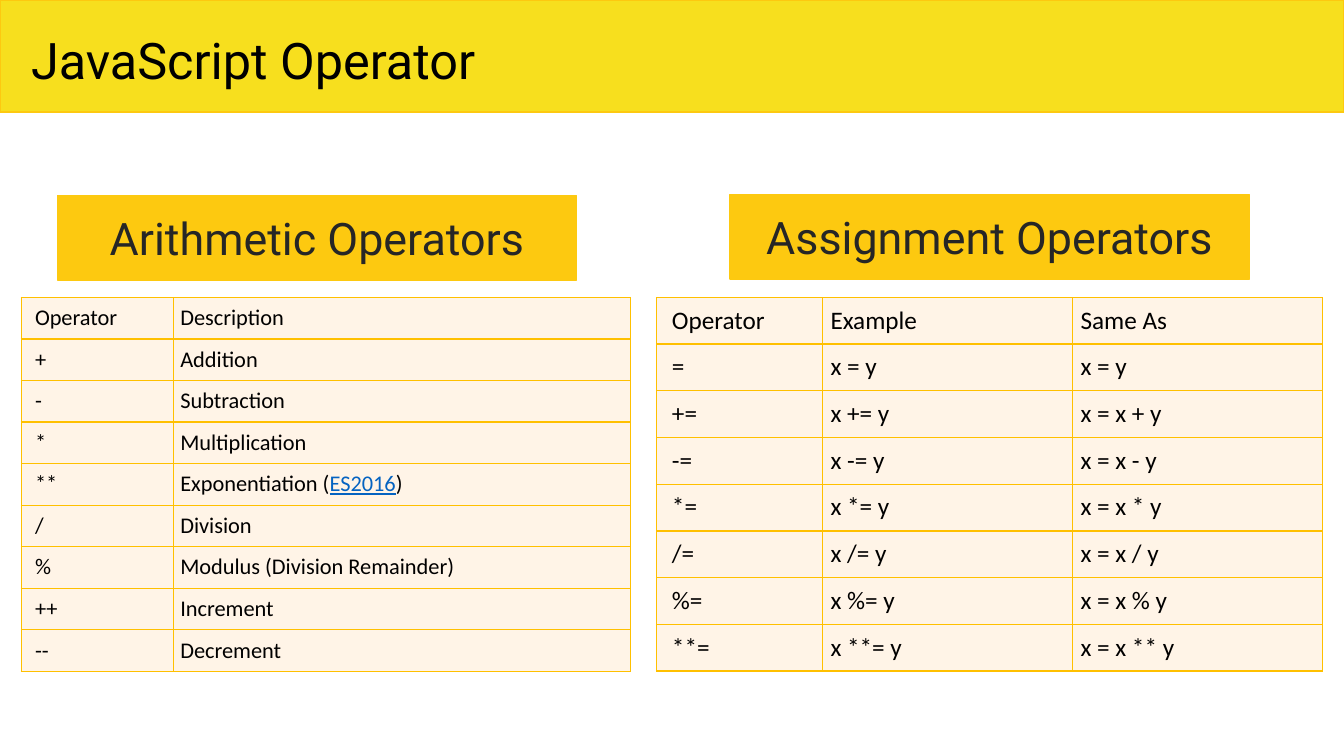
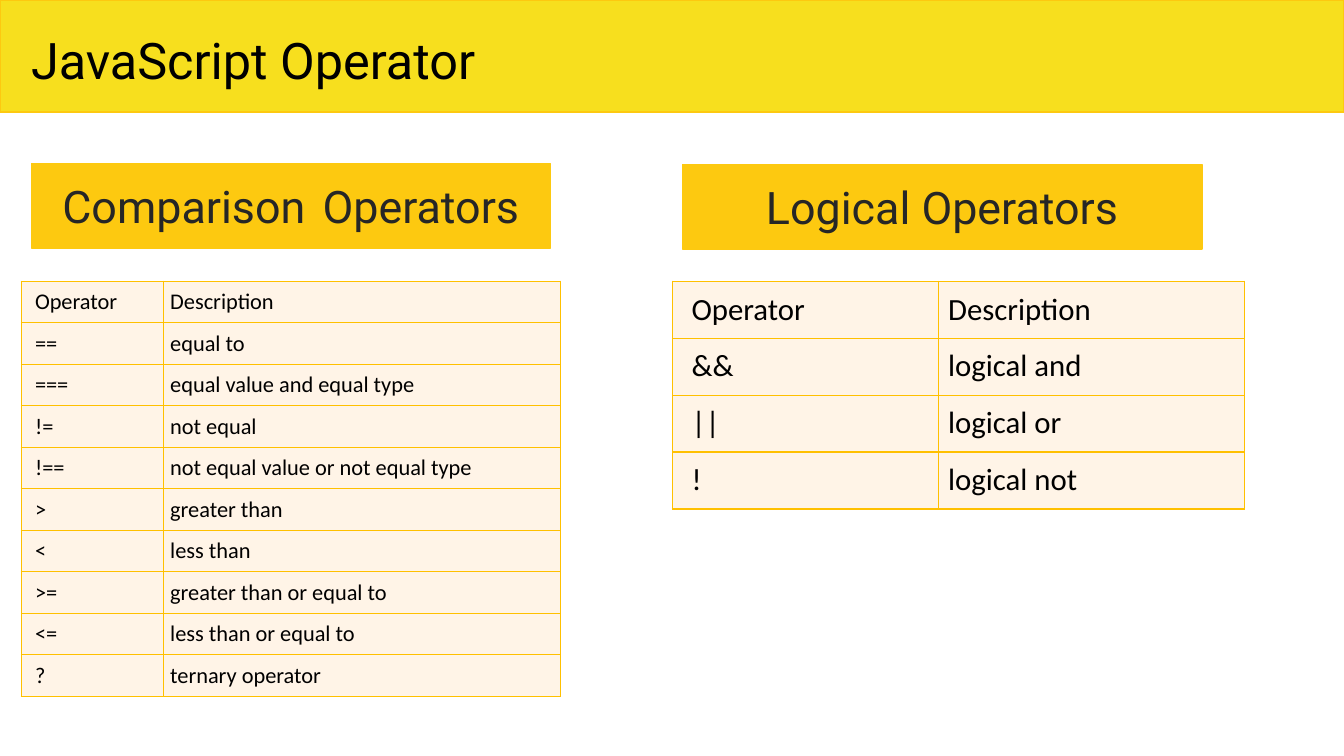
"""Builds two slides of JavaScript operator tables."""
from lxml.etree import SubElement
from pptx import Presentation
from pptx.dml.color import RGBColor
from pptx.enum.shapes import MSO_SHAPE
from pptx.enum.text import MSO_ANCHOR, MSO_AUTO_SIZE, PP_ALIGN
from pptx.oxml.ns import qn
from pptx.util import Inches, Pt

YELLOW = RGBColor(0xF7, 0xDF, 0x1E)
AMBER = RGBColor(0xFD, 0xC9, 0x10)
GRID = RGBColor(0xFF, 0xC0, 0x00)
CREAM = RGBColor(0xFF, 0xF4, 0xE7)
BLACK = RGBColor(0x00, 0x00, 0x00)
CHARCOAL = RGBColor(0x26, 0x26, 0x26)
LINK_BLUE = RGBColor(0x05, 0x63, 0xC1)
HEADING_FONT = "Roboto"
BODY_FONT = "Calibri"


class OperatorDeck:
    """Holds the shared style and the slide being filled."""

    def __init__(self):
        self.presentation = Presentation()
        self.presentation.slide_width = Inches(13.33)
        self.presentation.slide_height = Inches(7.5)
        self.slide = None

    def start_slide(self, title):
        """Add a slide with the title band."""
        self.slide = self.presentation.slides.add_slide(self.presentation.slide_layouts[6])
        header = self.slide.shapes.add_group_shape()
        self.bar(header.shapes, 0, 0, 13.33, 1.11, YELLOW)
        caption = header.shapes.add_textbox(
            Inches(0.21), Inches(0.24), Inches(11.62), Inches(0.71)).text_frame
        caption.word_wrap = True
        caption.auto_size = MSO_AUTO_SIZE.SHAPE_TO_FIT_TEXT
        self.styled_run(caption.paragraphs[0], title, 36, HEADING_FONT, BLACK)

    def bar(self, shapes, left, top, width, height, fill):
        """Add a flat rectangle with an amber outline."""
        bar = shapes.add_shape(
            MSO_SHAPE.RECTANGLE, Inches(left), Inches(top), Inches(width), Inches(height))
        bar.shadow.inherit = False
        bar.fill.solid()
        bar.fill.fore_color.rgb = fill
        bar.line.color.rgb = AMBER
        bar.line.width = Pt(1)
        return bar

    def styled_run(self, paragraph, text, size, font, color):
        """Append a styled run to a paragraph."""
        run = paragraph.add_run()
        run.text = text
        run.font.size = Pt(size)
        run.font.name = font
        run.font.color.rgb = color
        return run

    def heading(self, left, top, *parts):
        """Add an amber heading; blank parts are set small."""
        label = self.bar(self.slide.shapes, left, top, 5.15, 0.84, AMBER).text_frame
        label.vertical_anchor = MSO_ANCHOR.MIDDLE
        label.paragraphs[0].alignment = PP_ALIGN.CENTER
        for part in parts:
            size, font = (18, BODY_FONT) if part.isspace() else (32, HEADING_FONT)
            self.styled_run(label.paragraphs[0], part, size, font, CHARCOAL)

    def table(self, left, top, height, widths, size, rows):
        """Add a table with equal rows and padding scaled to the text."""
        table = self.slide.shapes.add_table(
            len(rows), len(widths), Inches(left), Inches(top),
            Inches(sum(widths)), Inches(height)).table
        table.first_row = table.horz_banding = False
        for column, width in zip(table.columns, widths):
            column.width = Inches(width)
        for row_index, entries in enumerate(rows):
            table.rows[row_index].height = Inches(height / len(rows))
            for column_index, entry in enumerate(entries):
                self.fill_cell(table.cell(row_index, column_index), entry, size, column_index == 0)

    def fill_cell(self, cell, entry, size, is_first):
        """Style a cell; the second part of a tuple looks like a link."""
        padding = Pt(size * 0.31)
        cell.margin_left = padding * 2 if is_first else padding
        cell.margin_top = cell.margin_right = cell.margin_bottom = padding
        properties = cell._tc.get_or_add_tcPr()
        for side in ("a:lnL", "a:lnR", "a:lnT", "a:lnB"):
            border = SubElement(properties, qn(side), w=str(Pt(1)))
            paint = SubElement(border, qn("a:solidFill"))
            SubElement(paint, qn("a:srgbClr"), val=str(GRID))
        cell.fill.solid()
        cell.fill.fore_color.rgb = CREAM
        parts = (entry,) if isinstance(entry, str) else entry
        for index, part in enumerate(parts):
            run = self.styled_run(cell.text_frame.paragraphs[0], part, size, BODY_FONT, BLACK)
            if index == 1:
                run.font.color.rgb = LINK_BLUE
                run.font.underline = True


ARITHMETIC = [
    ("Operator", "Description"),
    ("+", "Addition"),
    ("-", "Subtraction"),
    ("*", "Multiplication"),
    ("**", ("Exponentiation (", "ES2016", ")")),
    ("/", "Division"),
    ("%", "Modulus (Division Remainder)"),
    ("++", "Increment"),
    ("--", "Decrement"),
]
ASSIGNMENT = [("Operator", "Example", "Same As"), ("=", "x = y", "x = y")] + [
    (f"{sign}=", f"x {sign}= y", f"x = x {sign} y")
    for sign in ("+", "-", "*", "/", "%", "**")
]
COMPARISON = [
    ("Operator", "Description"),
    ("==", "equal to"),
    ("===", "equal value and equal type"),
    ("!=", "not equal"),
    ("!==", "not equal value or not equal type"),
    (">", "greater than"),
    ("<", "less than"),
    (">=", "greater than or equal to"),
    ("<=", "less than or equal to"),
    ("?", "ternary operator"),
]
LOGICAL = [
    ("Operator", "Description"),
    ("&&", "logical and"),
    ("||", "logical or"),
    ("!", "logical not"),
]


def main():
    """Build and save the deck."""
    deck = OperatorDeck()

    deck.start_slide("JavaScript Operator")
    deck.table(0.21, 2.95, 3.71, (1.51, 4.53), 16, ARITHMETIC)
    deck.heading(0.57, 1.94, "Arithmetic Operators")
    deck.table(6.51, 2.95, 3.71, (1.65, 2.48, 2.48), 18, ASSIGNMENT)
    deck.heading(7.24, 1.93, "Assignment Operators")

    deck.start_slide("JavaScript Operator")
    deck.heading(0.31, 1.62, "Comparison", " ", " Operators")
    deck.table(0.21, 2.79, 4.12, (1.41, 3.94), 16, COMPARISON)
    deck.table(6.67, 2.79, 2.26, (2.64, 3.03), 22, LOGICAL)
    deck.heading(6.77, 1.63, "Logical Operators")

    deck.presentation.save("out.pptx")


if __name__ == "__main__":
    main()
